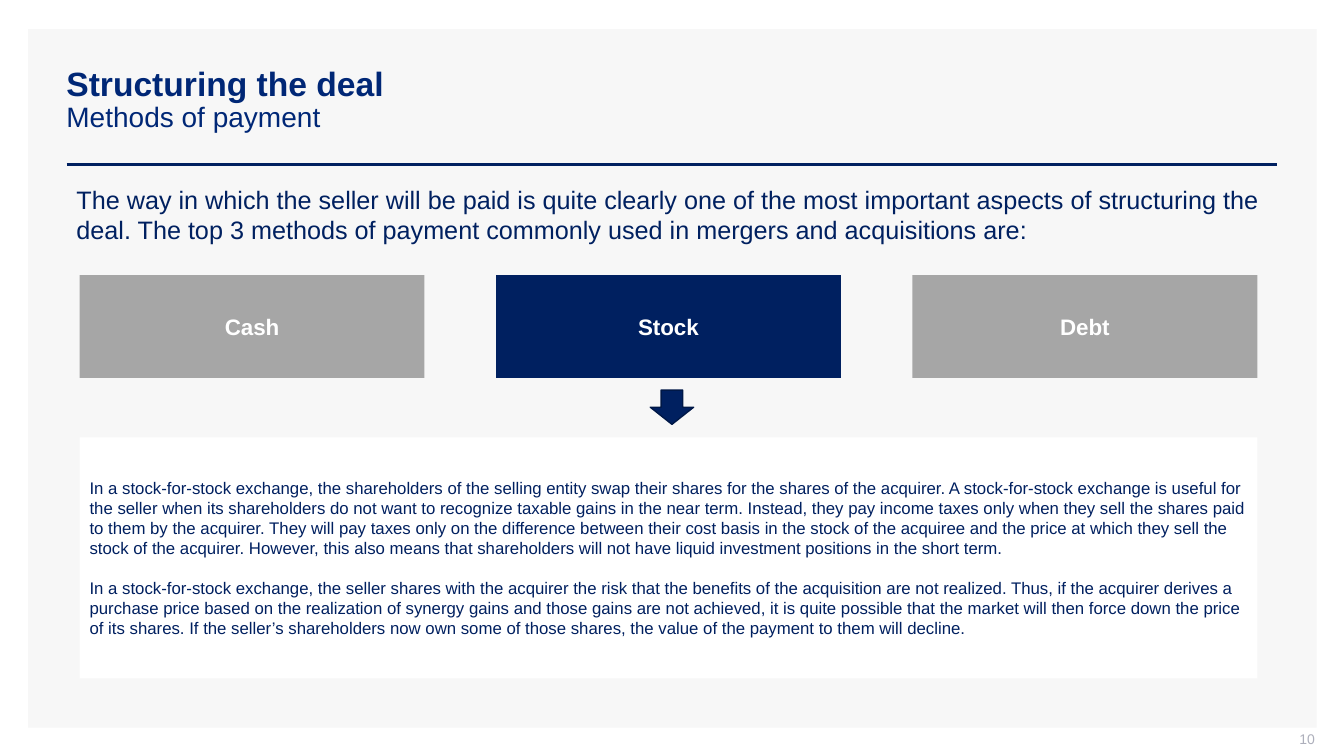
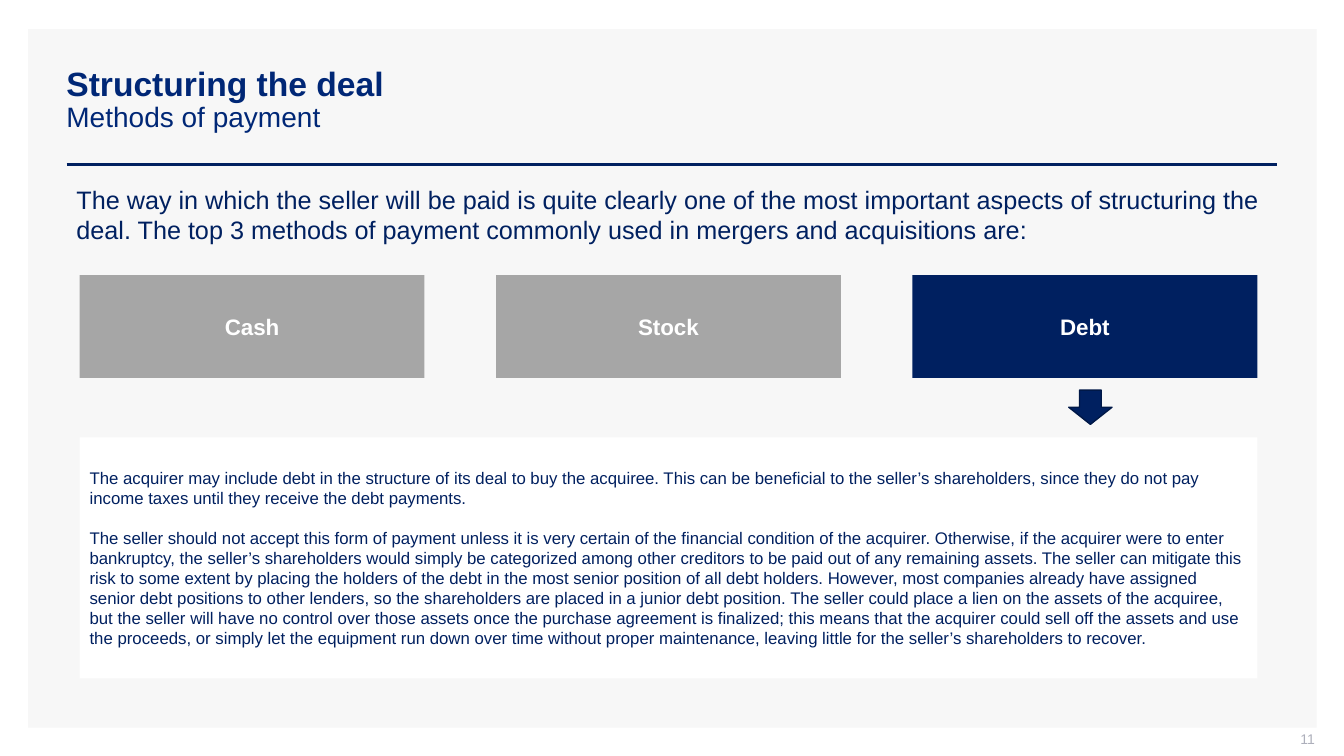
"""Build two slides on the methods of payment in a deal."""
from dataclasses import dataclass

from pptx import Presentation
from pptx import util as u
from pptx.dml.color import RGBColor
from pptx.enum import shapes, text as t
from pptx.oxml.xmlchemy import OxmlElement

PX = 9144
NAVY, TITLE_BLUE, GREY = "002060", "002776", "A6A6A6"
PANEL, WHITE, NUMBER_GREY, ARROW_EDGE = "F7F7F7", "FFFFFF", "ADAFBB", "001847"
FONT = "Arial"
TITLE, SUBTITLE = "Structuring the deal", "Methods of payment"
INTRO = (
    "The way in which the seller will be paid is quite clearly one of the most "
    "important aspects of structuring the deal. The top 3 methods of payment "
    "commonly used in mergers and acquisitions are:"
)
METHODS = ("Cash", "Stock", "Debt")
CARD_LEFT, CARD_WIDTH, CARD_STEP = 79, 342, 413


@dataclass(frozen=True)
class Box:
    left: int
    top: int
    width: int
    height: int

    def emu(self) -> tuple[int, int, int, int]:
        return self.left * PX, self.top * PX, self.width * PX, self.height * PX


@dataclass(frozen=True)
class MethodSlide:
    number: int
    method: str
    arrow_left: int
    details: tuple[tuple[str, ...], ...]


SLIDES = (
    MethodSlide(10, "Stock", 645, (
        (
            "In a stock-for-stock exchange, the shareholders of the selling entity swap "
            "their shares for the shares of the acquirer.",
            "A stock-for-stock exchange is useful for the seller when its shareholders "
            "do not want to recognize taxable gains in the near term.",
            "Instead, they pay income taxes only when they sell the shares paid to them "
            "by the acquirer.",
            "They will pay taxes only on the difference between their cost basis in the "
            "stock of the acquiree and the price at which they sell the stock of the "
            "acquirer.",
            "However, this also means that shareholders will not have liquid investment "
            "positions in the short term.",
        ),
        (
            "In a stock-for-stock exchange, the seller shares with the acquirer the risk "
            "that the benefits of the acquisition are not realized.",
            "Thus, if the acquirer derives a purchase price based on the realization of "
            "synergy gains and those gains are not achieved, it is quite possible that "
            "the market will then force down the price of its shares.",
            "If the seller’s shareholders now own some of those shares, the value of the "
            "payment to them will decline.",
        ),
    )),
    MethodSlide(11, "Debt", 1060, (
        (
            "The acquirer may include debt in the structure of its deal to buy the "
            "acquiree.",
            "This can be beneficial to the seller’s shareholders, since they do not pay "
            "income taxes until they receive the debt payments.",
        ),
        (
            "The seller should not accept this form of payment unless it is very certain "
            "of the financial condition of the acquirer.",
            "Otherwise, if the acquirer were to enter bankruptcy, the seller’s "
            "shareholders would simply be categorized among other creditors to be paid "
            "out of any remaining assets.",
            "The seller can mitigate this risk to some extent by placing the holders of "
            "the debt in the most senior position of all debt holders.",
            "However, most companies already have assigned senior debt positions to "
            "other lenders, so the shareholders are placed in a junior debt position.",
            "The seller could place a lien on the assets of the acquiree, but the seller "
            "will have no control over those assets once the purchase agreement is "
            "finalized; this means that the acquirer could sell off the assets and use "
            "the proceeds, or simply let the equipment run down over time without proper "
            "maintenance, leaving little for the seller’s shareholders to recover.",
        ),
    )),
)


def color(value: str) -> RGBColor:
    return RGBColor.from_string(value)


def write(shape, content: str, *, size: int, fill: str = NAVY, bold: bool = False,
          align=t.PP_ALIGN.LEFT, anchor=t.MSO_ANCHOR.MIDDLE,
          before: float = 0, spacing: float = 1.0) -> None:
    frame = shape.text_frame
    frame.word_wrap = True
    frame.vertical_anchor = anchor
    paragraph = frame.add_paragraph() if frame.text else frame.paragraphs[0]
    paragraph.alignment = align
    paragraph.line_spacing = spacing
    if before:
        paragraph.space_before = u.Pt(before)
    run = paragraph.add_run()
    run.text = content
    run.font.name, run.font.size, run.font.bold = FONT, u.Pt(size), bold
    run.font.color.rgb = color(fill)


def add_block(slide, box: Box, fill: str, kind=shapes.MSO_SHAPE.RECTANGLE, edge: str = ""):
    shape = slide.shapes.add_shape(kind, *box.emu())
    shape.shadow.inherit = False
    shape.fill.solid()
    shape.fill.fore_color.rgb = color(fill)
    if edge:
        shape.line.color.rgb = color(edge)
        shape.line.width = u.Pt(1)
    else:
        shape.line.fill.background()
    return shape


def add_text_box(slide, box: Box):
    return slide.shapes.add_textbox(*box.emu())


def add_frame(slide, number: int) -> None:
    add_block(slide, Box(28, 29, 1278, 693), PANEL)
    rule = slide.shapes.add_connector(
        shapes.MSO_CONNECTOR.STRAIGHT, 66 * PX, 163 * PX, 1267 * PX, 163 * PX)
    rule.line.color.rgb = color(NAVY)
    rule.line.width = u.Pt(2)
    rule._element.spPr.append(OxmlElement("a:effectLst"))

    title = add_text_box(slide, Box(56, 40, 1211, 119))
    write(title, TITLE, size=24, fill=TITLE_BLUE, bold=True, spacing=0.9)
    write(title, SUBTITLE, size=20, fill=TITLE_BLUE, spacing=0.9)

    footer = add_text_box(slide, Box(1004, 725, 300, 21))
    frame = footer.text_frame
    frame.margin_top = frame.margin_right = 0
    write(footer, str(number), size=10, fill=NUMBER_GREY, align=t.PP_ALIGN.RIGHT)


def add_method_slide(presentation, content: MethodSlide) -> None:
    slide = presentation.slides.add_slide(presentation.slide_layouts[6])
    add_frame(slide, content.number)
    intro = add_text_box(slide, Box(66, 178, 1201, 71))
    write(intro, INTRO, size=18, anchor=t.MSO_ANCHOR.TOP)

    for index, method in enumerate(METHODS):
        fill = NAVY if method == content.method else GREY
        card = add_block(slide, Box(CARD_LEFT + index * CARD_STEP, 273, CARD_WIDTH, 102), fill)
        write(card, method, size=16, fill=WHITE, bold=True, align=t.PP_ALIGN.CENTER)

    details = add_block(slide, Box(CARD_LEFT, 434, 2 * CARD_STEP + CARD_WIDTH, 239), WHITE)
    for index, sentences in enumerate(content.details):
        write(details, " ".join(sentences), size=12, before=13.8 if index else 0)

    add_block(slide, Box(content.arrow_left, 387, 43, 34), NAVY,
              shapes.MSO_SHAPE.DOWN_ARROW, ARROW_EDGE)


def main() -> None:
    presentation = Presentation()
    presentation.slide_width, presentation.slide_height = 1333 * PX, 750 * PX
    for content in SLIDES:
        add_method_slide(presentation, content)
    presentation.save("out.pptx")


if __name__ == "__main__":
    main()
